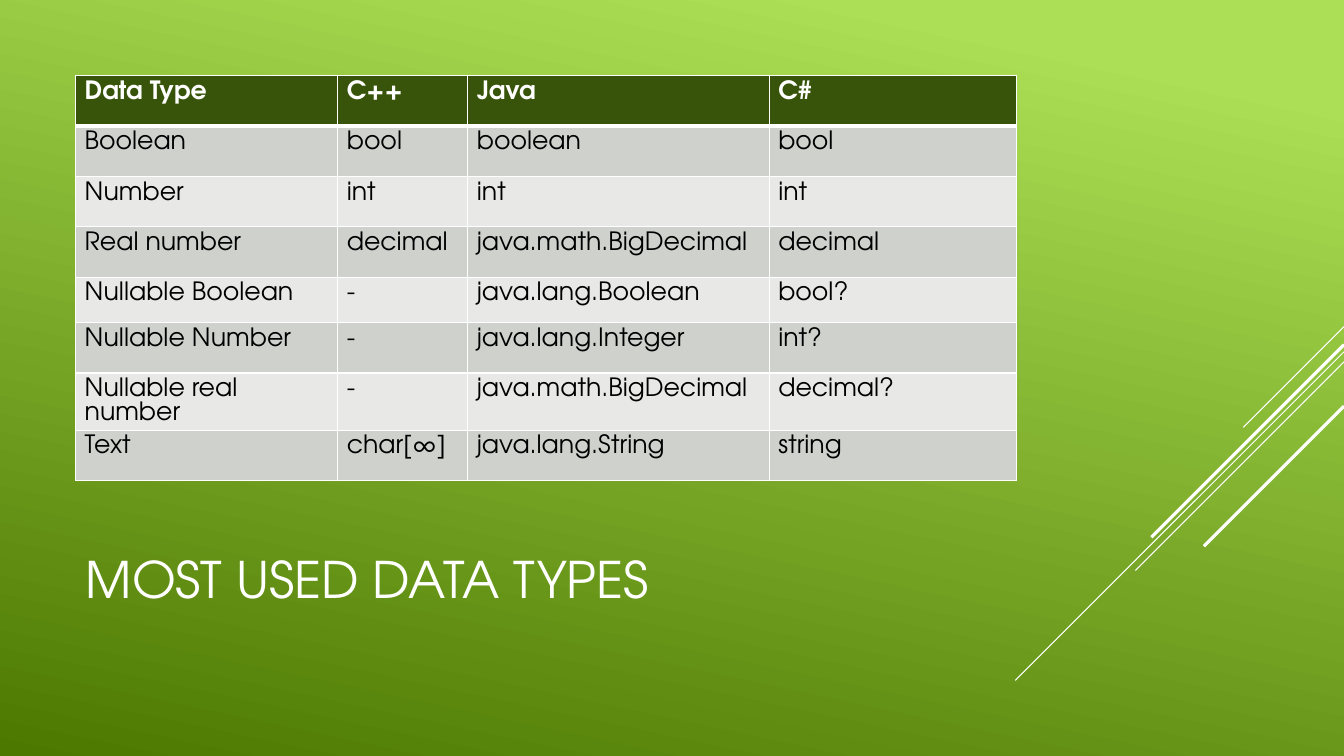
from dataclasses import dataclass

from lxml.etree import SubElement
from pptx import Presentation
from pptx.dml.color import RGBColor
from pptx.enum.shapes import MSO_CONNECTOR
from pptx.enum.text import MSO_ANCHOR, MSO_AUTO_SIZE, PP_ALIGN
from pptx.oxml.ns import qn
from pptx.util import Inches, Pt


@dataclass(frozen=True)
class Theme:
    font: str = "TeX Gyre Adventor"
    light: str = "FFFFFF"
    dark: str = "000000"
    header: str = "38540A"
    bands: tuple = ("CED1CC", "E8E9E7")
    gradient: tuple = ((0.1, "ACDF55"), (1, "4C7800"))
    gradient_angle: int = 258
    title_size: int = 36
    table_size: int = 18
    cell_margin: float = 0.09
    border: int = 1
    header_border: int = 3


class SlideBuilder:
    """Draw themed elements on one slide, placed by shares of its size."""

    def __init__(self, presentation, theme):
        self.theme = theme
        self.width = presentation.slide_width
        self.height = presentation.slide_height
        self.slide = presentation.slides.add_slide(presentation.slide_layouts[5])

    def across(self, share):
        return round(self.width * share)

    def down(self, share):
        return round(self.height * share)

    def style(self, paragraph, size, color, bold=False):
        for run in paragraph.runs:
            run.font.name = self.theme.font
            run.font.size = Pt(size)
            run.font.bold = bold
            run.font.color.rgb = RGBColor.from_string(color)

    def background(self):
        fill = self.slide.background.fill
        fill.gradient()
        fill.gradient_angle = self.theme.gradient_angle
        for stop, (position, color) in zip(fill.gradient_stops, self.theme.gradient):
            stop.position = position
            stop.color.rgb = RGBColor.from_string(color)

    def diagonal(self, top, length, weight):
        start = self.down(top)
        reach = self.down(length)
        connector = self.slide.shapes.add_connector(
            MSO_CONNECTOR.STRAIGHT, self.width, start, self.width - reach, start + reach
        )
        connector.line.color.rgb = RGBColor.from_string(self.theme.light)
        connector.line.width = Pt(weight)
        SubElement(connector._element.spPr, qn("a:effectLst"))

    def title(self, text, left, top, width, height):
        shape = self.slide.shapes.title
        shape.left, shape.top = self.across(left), self.down(top)
        shape.width, shape.height = self.across(width), self.down(height)
        text_frame = shape.text_frame
        text_frame.text = text
        text_frame.word_wrap = True
        text_frame.auto_size = MSO_AUTO_SIZE.NONE
        text_frame.vertical_anchor = MSO_ANCHOR.MIDDLE
        paragraph = text_frame.paragraphs[0]
        paragraph.alignment = PP_ALIGN.LEFT
        self.style(paragraph, self.theme.title_size, self.theme.light)

    def borders(self, cell, bottom):
        properties = cell._tc.get_or_add_tcPr()
        weights = {"L": self.theme.border, "R": self.theme.border, "T": self.theme.border, "B": bottom}
        for side, weight in weights.items():
            line = SubElement(properties, qn(f"a:ln{side}"), w=str(Pt(weight)))
            fill = SubElement(line, qn("a:solidFill"))
            SubElement(fill, qn("a:srgbClr"), val=self.theme.light)

    def cell(self, cell, text, fill, color, bold, bottom):
        self.borders(cell, bottom)
        cell.margin_left = cell.margin_right = Inches(self.theme.cell_margin)
        cell.fill.solid()
        cell.fill.fore_color.rgb = RGBColor.from_string(fill)
        cell.text_frame.text = text
        self.style(cell.text_frame.paragraphs[0], self.theme.table_size, color, bold)

    def table(self, records, left, top, columns, rows):
        theme = self.theme
        table = self.slide.shapes.add_table(
            len(rows), len(columns), self.across(left), self.down(top),
            self.across(sum(columns)), self.down(sum(rows)),
        ).table
        for column, share in zip(table.columns, columns):
            column.width = self.across(share)
        for row, share in zip(table.rows, rows):
            row.height = self.down(share)
        for index, record in enumerate(records):
            header = index == 0
            fill = theme.header if header else theme.bands[(index - 1) % 2]
            color = theme.light if header else theme.dark
            bottom = theme.header_border if header else theme.border
            for cell, text in zip(table.rows[index].cells, record):
                self.cell(cell, text, fill, color, header, bottom)


DATA_TYPES = (
    ("Data Type", "C++", "Java", "C#"),
    ("Boolean", "bool", "boolean", "bool"),
    ("Number", "int", "int", "int"),
    ("Real number", "decimal", "java.math.BigDecimal", "decimal"),
    ("Nullable Boolean", "-", "java.lang.Boolean", "bool?"),
    ("Nullable Number", "-", "java.lang.Integer", "int?"),
    ("Nullable real number", "-", "java.math.BigDecimal", "decimal?"),
    ("Text", "char[∞]", "java.lang.String", "string"),
)
DIAGONALS = (
    (3.24, 1, 0.75),
    (3.49, 3.26, 0.75),
    (3.59, 2.07, 0.75),
    (3.42, 1.91, 2.25),
    (4.03, 1.39, 2.25),
)


def main():
    presentation = Presentation()
    presentation.slide_width = Inches(13.33)
    presentation.slide_height = Inches(7.5)
    builder = SlideBuilder(presentation, Theme())
    builder.background()
    for top, length, weight in DIAGONALS:
        builder.diagonal(top / 7.5, length / 7.5, weight)
    builder.title("MOST USED DATA TYPES", 0.75 / 13.33, 4.91 / 7.5, 0.7, 0.22)
    columns = [width / 13.33 for width in (2.6, 1.29, 2.99, 2.45)]
    rows = [height / 7.5 for height in (0.5, 0.5, 0.5, 0.5, 0.45, 0.5, 0.5, 0.5)]
    builder.table(DATA_TYPES, 0.75 / 13.33, 0.1, columns, rows)
    presentation.save("out.pptx")


if __name__ == "__main__":
    main()
